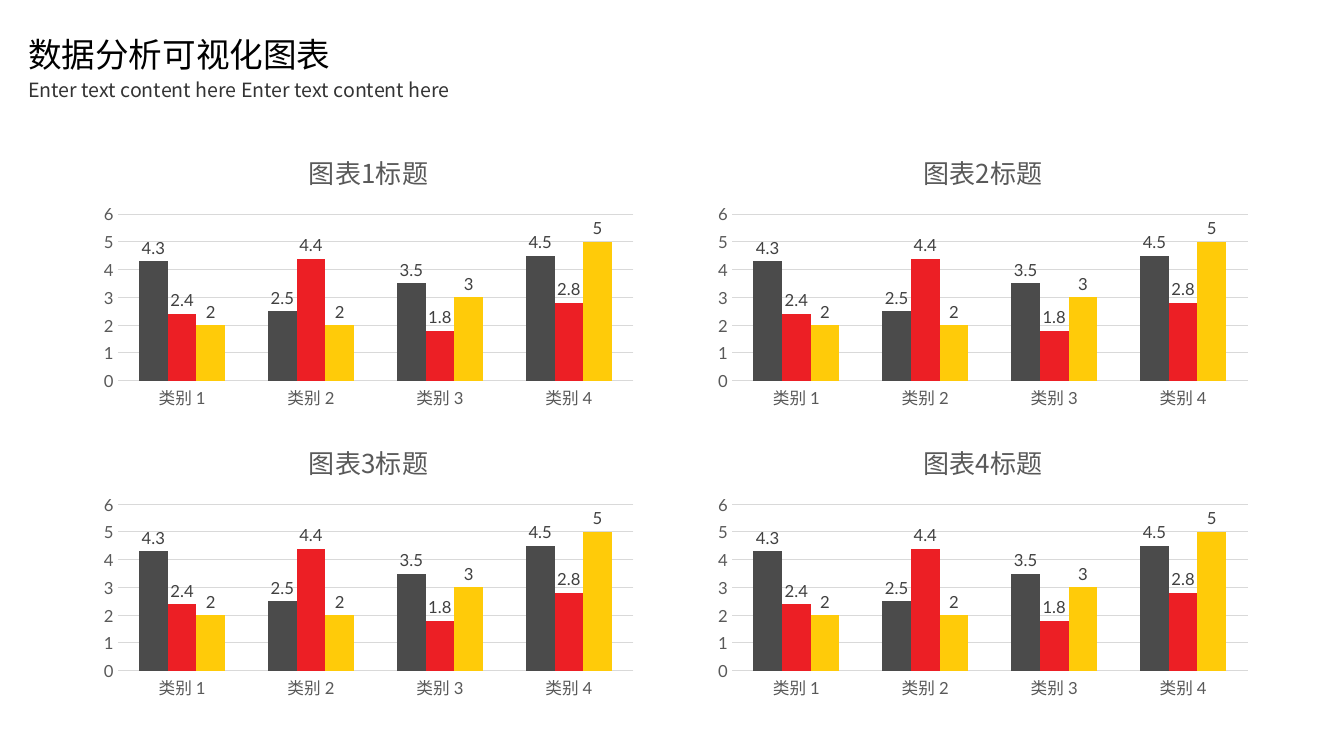
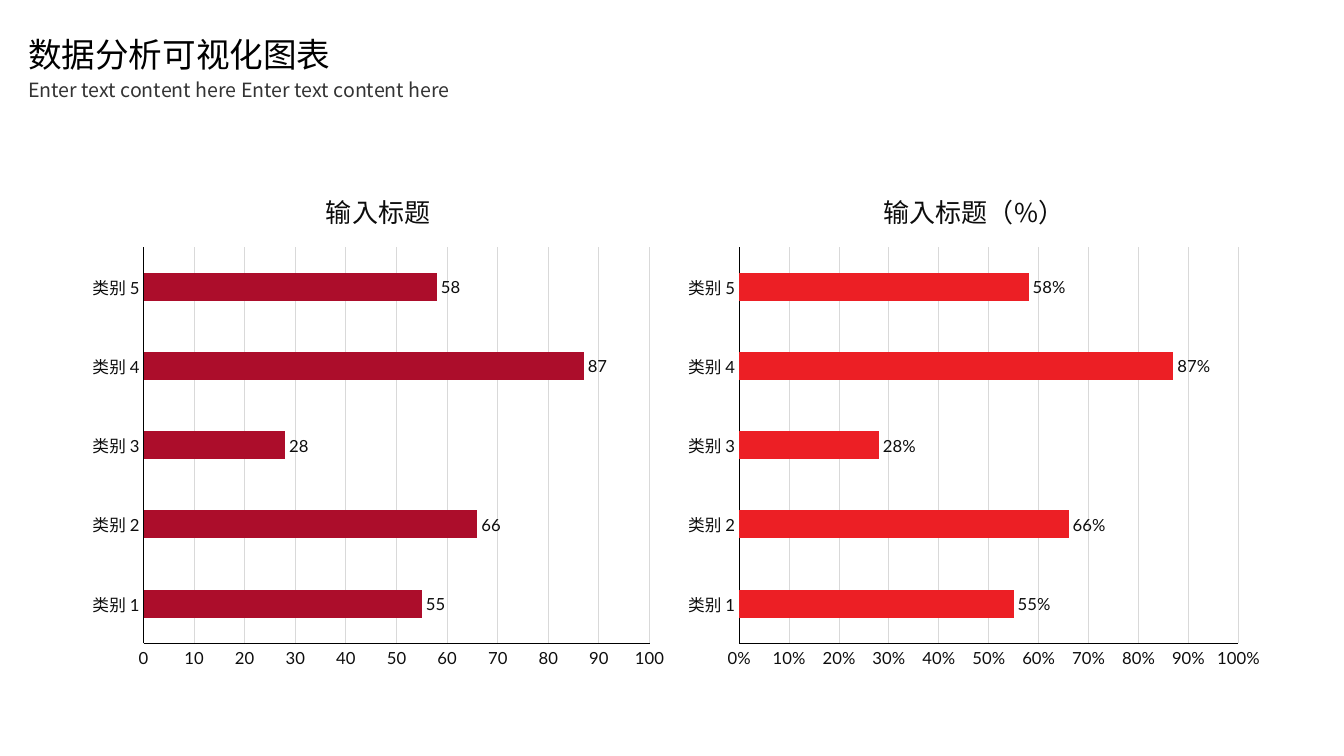
"""Build two slides of clustered column and bar charts."""
from itertools import product

from lxml import etree
from pptx import Presentation
from pptx.chart.data import CategoryChartData
from pptx.dml.color import RGBColor
from pptx.enum.chart import XL_CHART_TYPE, XL_LABEL_POSITION, XL_TICK_MARK
from pptx.oxml.ns import qn
from pptx.util import Cm, Pt

COLUMNS = XL_CHART_TYPE.COLUMN_CLUSTERED
BARS = XL_CHART_TYPE.BAR_CLUSTERED
OUTSIDE_END = XL_LABEL_POSITION.OUTSIDE_END
NO_TICK = XL_TICK_MARK.NONE

BLACK = RGBColor(0x00, 0x00, 0x00)
INK = RGBColor(0x0D, 0x0D, 0x0D)
SUBTITLE_GREY = RGBColor(0x33, 0x33, 0x33)
LABEL_GREY = RGBColor(0x40, 0x40, 0x40)
AXIS_GREY = RGBColor(0x59, 0x59, 0x59)
GRID_GREY = RGBColor(0xD9, 0xD9, 0xD9)
CHARCOAL = RGBColor(0x4B, 0x4B, 0x4B)
RED = RGBColor(0xEC, 0x1F, 0x25)
YELLOW = RGBColor(0xFF, 0xCB, 0x09)
CRIMSON = RGBColor(0xAC, 0x0D, 0x2B)

HEADING_FONT = "Noto Sans CJK JP"
CHART_FONT = "Lato"
LABEL_SIZE = Pt(11.9)

HEADINGS = [
    ("数据分析可视化图表", 0.74, 9.6, 1.27, 24, BLACK),
    ("Enter text content here Enter text content here", 1.85, 15.85, 0.86, 14, SUBTITLE_GREY),
]


def add_span(para, text, size, color):
    """Add one heading run."""
    span = para.add_run()
    span.text = text
    span.font.size = Pt(size)
    span.font.bold = False
    span.font.color.rgb = color
    span.font.name = HEADING_FONT
    etree.SubElement(span._r.get_or_add_rPr(), qn("a:ea"), typeface=HEADING_FONT)


def add_bar_chart(page, kind, frame, title, series, text_color, label_color,
                  gap, axis_line=None, maximum=None, number_format="General"):
    """Add a titled chart whose series are (colour, values) pairs."""
    data = CategoryChartData(number_format=number_format)
    data.categories = [f"类别 {number + 1}" for number in range(len(series[0][1]))]
    for number, (color, values) in enumerate(series, 1):
        data.add_series(f"Series {number}", values)
    chart = page.shapes.add_chart(kind, *[Cm(length) for length in frame], data).chart
    chart.has_legend = False
    chart.font.size = Pt(10)
    chart.font.name = CHART_FONT
    chart.font.color.rgb = text_color
    chart.has_title = True
    chart.chart_title.include_in_layout = False
    add_span(chart.chart_title.text_frame.paragraphs[0], title, 18.6, text_color)

    for axis in (chart.category_axis, chart.value_axis):
        axis.major_tick_mark = axis.minor_tick_mark = NO_TICK
        axis.tick_labels.font.size = LABEL_SIZE
        axis.tick_labels.font.name = CHART_FONT
        axis.tick_labels.font.color.rgb = text_color
        if axis_line is None:
            axis.format.line.fill.background()
        else:
            axis.format.line.color.rgb = axis_line
            axis.format.line.width = Pt(0.75)
    values_axis = chart.value_axis
    values_axis.minimum_scale = 0
    values_axis.maximum_scale = maximum
    values_axis.tick_labels.number_format = number_format
    values_axis.tick_labels.number_format_is_linked = False
    values_axis.has_major_gridlines = True
    values_axis.major_gridlines.format.line.color.rgb = GRID_GREY
    values_axis.major_gridlines.format.line.width = Pt(0.75)

    plot = chart.plots[0]
    plot.gap_width = gap
    plot.overlap = 0
    plot.vary_by_categories = False
    for bars, (color, values) in zip(plot.series, series):
        bars.invert_if_negative = False
        bars.format.fill.solid()
        bars.format.fill.fore_color.rgb = color
        labels = bars.data_labels
        labels.show_value = True
        labels.position = OUTSIDE_END
        labels.number_format = number_format
        labels.number_format_is_linked = False
        labels.font.size = LABEL_SIZE
        labels.font.name = CHART_FONT
        labels.font.color.rgb = label_color


deck = Presentation()
deck.slide_width = Cm(33.87)
deck.slide_height = Cm(19.05)
pages = [deck.slides.add_slide(deck.slide_layouts[6]) for _ in range(2)]
column_page, bar_page = pages

for page, (text, top, width, height, size, color) in product(pages, HEADINGS):
    box = page.shapes.add_textbox(Cm(0.46), Cm(top), Cm(width), Cm(height))
    box.text_frame.word_wrap = True
    add_span(box.text_frame.paragraphs[0], text, size, color)

column_series = [
    (CHARCOAL, (4.3, 2.5, 3.5, 4.5)),
    (RED, (2.4, 4.4, 1.8, 2.8)),
    (YELLOW, (2, 2, 3, 5)),
]
for row, column in product(range(2), range(2)):
    frame = (2.34 + 15.48 * column, 3.38 + 7.31 * row, 13.9, 7.09)
    add_bar_chart(column_page, COLUMNS, frame, f"图表{2 * row + column + 1}标题",
                  column_series, AXIS_GREY, LABEL_GREY, 150)

bar_charts = [
    ("输入标题", CRIMSON, (55, 66, 28, 87, 58), 100, "General"),
    ("输入标题（%）", RED, (0.55, 0.66, 0.28, 0.87, 0.58), 1, "0%"),
]
for column, (title, color, values, maximum, number_format) in enumerate(bar_charts):
    frame = (2.03 + 15.01 * column, 4.24, 15.01, 12.83)
    add_bar_chart(bar_page, BARS, frame, title, [(color, values)], INK, INK, 182,
                  BLACK, maximum, number_format)

deck.save("out.pptx")
